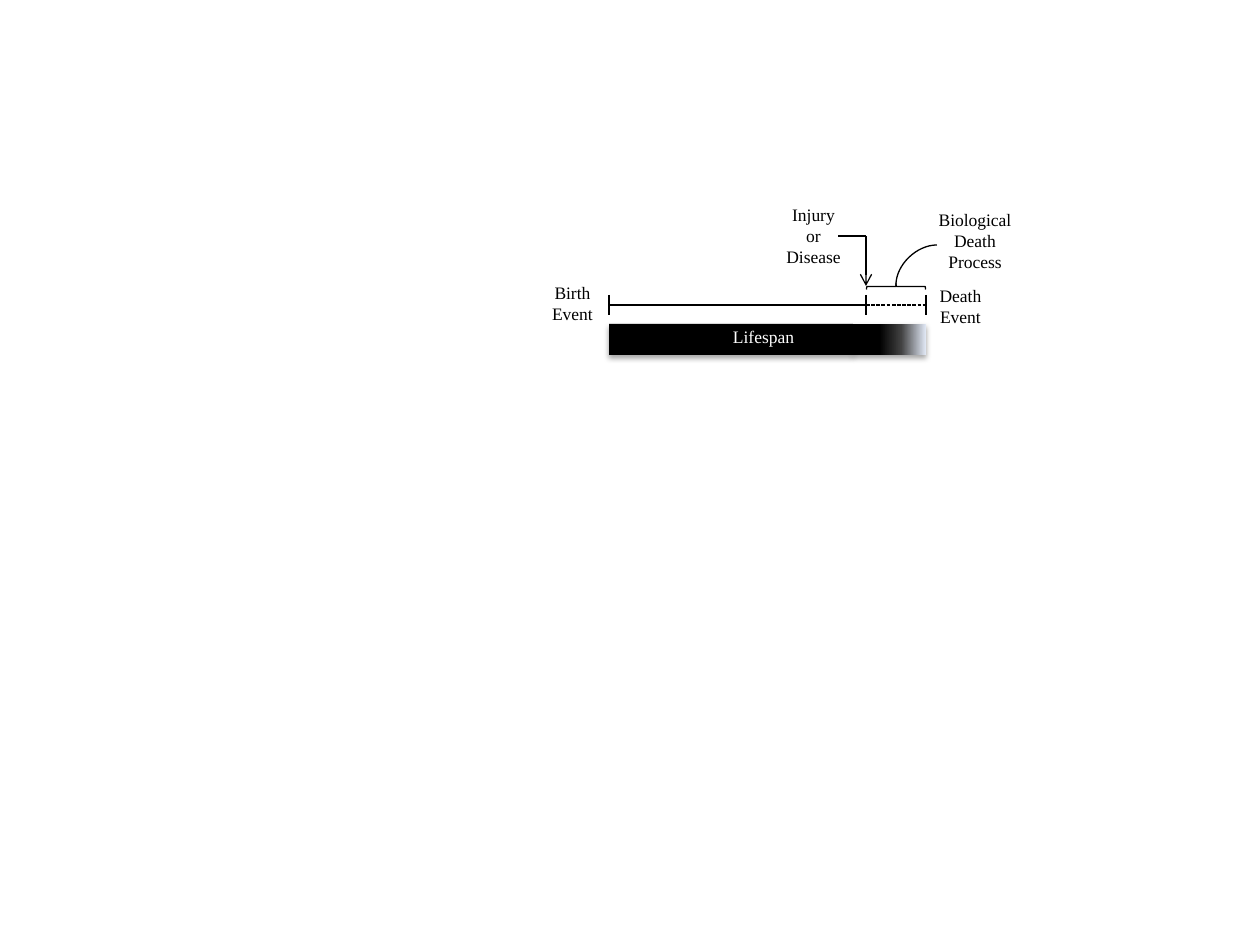
from copy import deepcopy
from dataclasses import dataclass

from lxml import etree
from pptx import Presentation
from pptx.dml.color import RGBColor
from pptx.enum.dml import MSO_LINE
from pptx.enum.shapes import MSO_CONNECTOR, MSO_SHAPE
from pptx.enum.text import MSO_AUTO_SIZE, PP_ALIGN
from pptx.oxml.ns import qn
from pptx.util import Inches, Pt

PX = Inches(1) / 126
STRAIGHT, CURVE = MSO_CONNECTOR.STRAIGHT, MSO_CONNECTOR.CURVE
RECTANGLE, LEFT_BRACE = MSO_SHAPE.RECTANGLE, MSO_SHAPE.LEFT_BRACE
DASHED = MSO_LINE.SQUARE_DOT
CENTER, GROW = PP_ALIGN.CENTER, MSO_AUTO_SIZE.SHAPE_TO_FIT_TEXT


@dataclass(frozen=True)
class Theme:
    ink: RGBColor = RGBColor(0, 0, 0)
    paper: RGBColor = RGBColor(255, 255, 255)
    fade: tuple = ((0.36, "000000"), (0.66, "404040"), (1, "E1E8F5"))
    font: str = "Times New Roman"
    size: Pt = Pt(10)
    stroke: Pt = Pt(0.75)


def emu(*lengths):
    return [round(length * PX) for length in lengths]


class Diagram:
    """Draws on one slide in one theme, with lengths in px."""

    def __init__(self, slide, theme):
        self.shapes = slide.shapes
        self.theme = theme

    def stroke(self, line):
        line.color.rgb = self.theme.ink
        line.width = self.theme.stroke

    def bar(self, box, stops=None):
        """Add a borderless bar with a soft shadow, plain or with a gradient."""
        bar = self.shapes.add_shape(RECTANGLE, *emu(*box))
        bar.line.fill.background()
        if stops:
            self.gradient(bar.fill, stops)
        else:
            bar.fill.solid()
            bar.fill.fore_color.rgb = self.theme.ink
        self.drop_shadow(bar)

    def gradient(self, fill, stops):
        fill.gradient()
        fill.gradient_angle = 0
        stop_list = fill._xPr.find(qn("a:gradFill")).find(qn("a:gsLst"))
        while len(stop_list) < len(stops):
            stop_list.append(deepcopy(stop_list[-1]))
        for stop, (position, color) in zip(fill.gradient_stops, stops):
            stop.position = position
            stop.color.rgb = RGBColor.from_string(color)

    def drop_shadow(self, shape):
        shape.shadow.inherit = False
        effects = shape._element.spPr.find(qn("a:effectLst"))
        shadow = etree.SubElement(
            effects, qn("a:outerShdw"), blurRad=str(Pt(3.1)), dist=str(Pt(1.8)),
            dir="5400000", rotWithShape="0")
        color = etree.SubElement(shadow, qn("a:srgbClr"), val=str(self.theme.ink))
        etree.SubElement(color, qn("a:alpha"), val="35000")

    def brace(self, box):
        """Add a left brace turned to open downwards."""
        brace = self.shapes.add_shape(LEFT_BRACE, *emu(*box))
        brace.rotation = 90
        brace.fill.background()
        brace.shadow.inherit = False
        self.stroke(brace.line)

    def line(self, start, end, kind=STRAIGHT, dash=None, arrow=False):
        line = self.shapes.add_connector(kind, *emu(*start, *end))
        self.stroke(line.line)
        if dash:
            line.line.dash_style = dash
        properties = line._element.spPr
        if arrow:
            etree.SubElement(properties.find(qn("a:ln")), qn("a:tailEnd"), type="arrow")
        if kind == CURVE:
            properties.find(qn("a:prstGeom")).set("prst", "curvedConnector2")
        etree.SubElement(properties, qn("a:effectLst"))

    def label(self, box, rows, color=None):
        frame = self.shapes.add_textbox(*emu(*box)).text_frame
        frame.word_wrap = True
        frame.auto_size = GROW
        frame.text = "\n".join(rows)
        for paragraph in frame.paragraphs:
            paragraph.alignment = CENTER
            font = paragraph.runs[0].font
            font.name, font.size = self.theme.font, self.theme.size
            font.color.rgb = color or self.theme.ink


def main():
    deck = Presentation()
    deck.slide_width, deck.slide_height = emu(1260, 945)
    theme = Theme()
    diagram = Diagram(deck.slides.add_slide(deck.slide_layouts[6]), theme)

    birth, injury, death = 609, 866, 926
    axis, tick = 305, 10
    bar_top, bar_height, fade_start = 324, 31, 853

    diagram.bar((birth, bar_top, fade_start - birth, bar_height))
    diagram.bar((fade_start, bar_top, death - fade_start, bar_height), theme.fade)

    diagram.line((birth, axis), (injury, axis))
    diagram.line((injury, axis), (death, axis), dash=DASHED)
    for moment in (birth, injury, death):
        diagram.line((moment, axis - tick), (moment, axis + tick))

    diagram.brace((893, 257, 6, 59))
    diagram.line((937, 245), (896, 285), kind=CURVE)
    diagram.line((injury, 236), (838, 236))
    diagram.line((injury, 236), (injury, 286), arrow=True)

    for box, rows in (
        ((925, 203, 100, 77), ("Biological Death", "Process")),
        ((916, 279, 89, 77), ("Death", "Event")),
        ((529, 276, 87, 55), ("Birth", "Event")),
        ((769, 198, 89, 77), ("Injury", "or", "Disease")),
    ):
        diagram.label(box, rows)
    diagram.label((699, 320, 129, 34), ("Lifespan",), theme.paper)

    deck.save("out.pptx")


if __name__ == "__main__":
    main()
